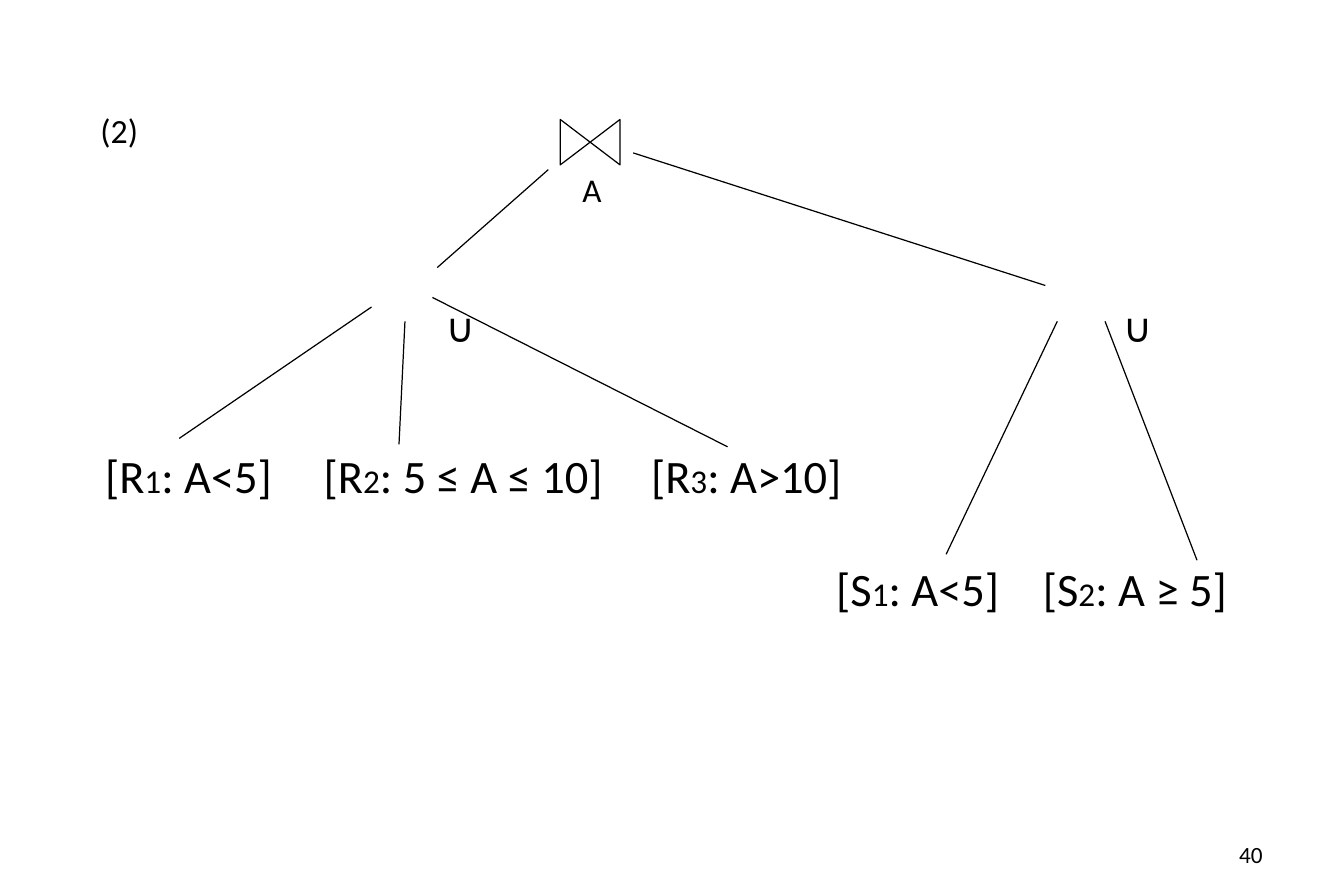
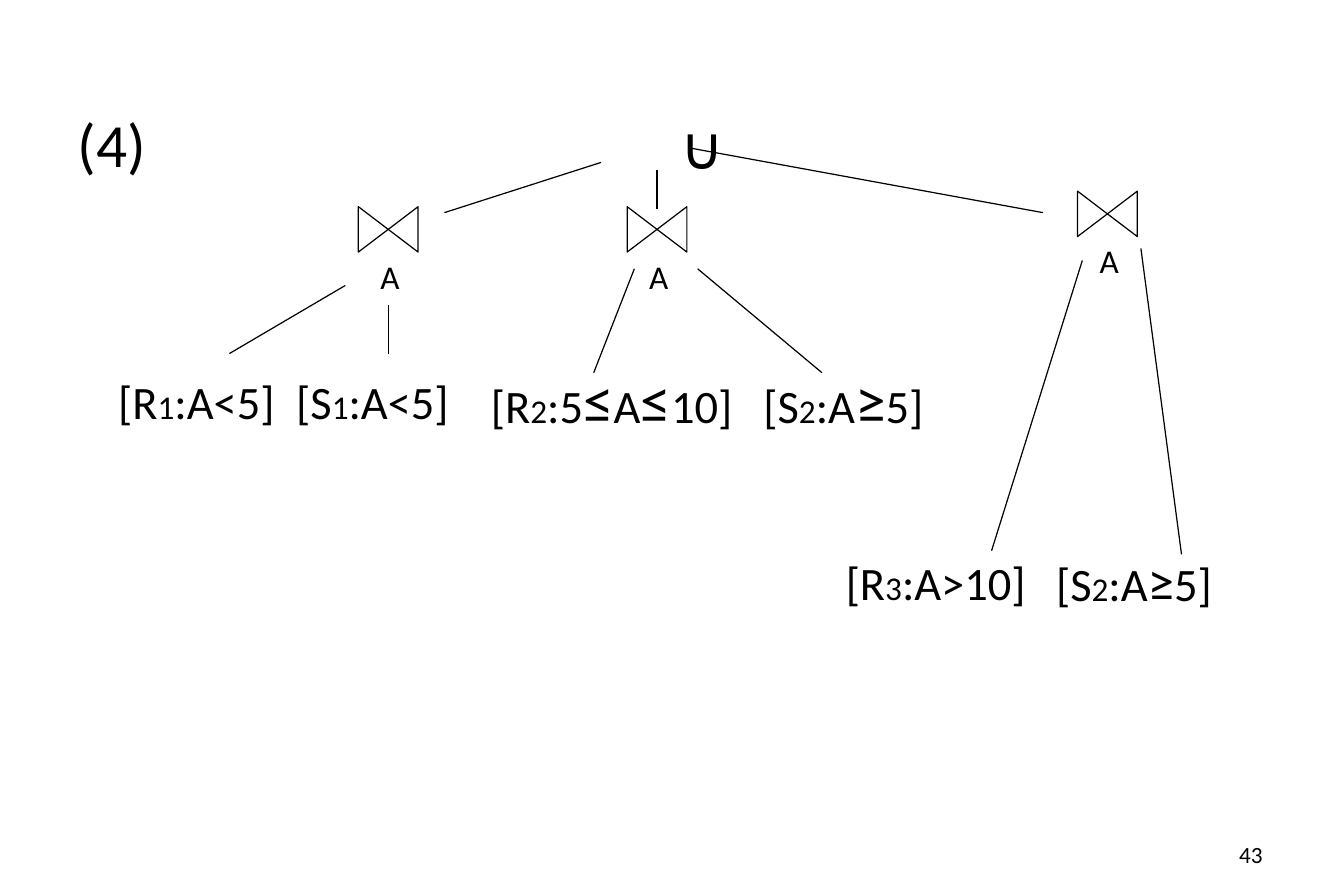
from lxml.etree import SubElement
from pptx import Presentation
from pptx.dml.color import RGBColor
from pptx.enum.shapes import MSO_CONNECTOR as Link, MSO_SHAPE as Form
from pptx.enum.text import MSO_ANCHOR as Anchor, MSO_AUTO_SIZE as Fit, PP_ALIGN as Align
from pptx.oxml.ns import qn
from pptx.util import Inches, Pt

BLACK = RGBColor(0, 0, 0)
WHITE = RGBColor(255, 255, 255)
FONT = "Calibri"
SMALL = 20  # index digits and join labels
LEAF = 28

# Lengths sit on a grid of one-inch columns and rows.
WIDE, HIGH = 11.25, 7.5
JOIN_W, JOIN_H = 0.38, 0.5
NODE_W, NODE_H = 2.4, 0.6

# A node is: left, middle, text, size, size of signs.
# Bars part the text into runs; a lone digit is an index, a lone sign takes its own size.
TREES = [
    dict(
        page="40",
        head="(2)", size=20.4,
        body=(0.72, 0.86, 10.14, 2.57),
        joins=[(4.94, 1.19)],
        edges=[(3.39, 2.69, 3.34, 3.72), (3.11, 2.57, 1.5, 3.67),
               (3.62, 2.49, 6.09, 3.74), (8.85, 2.69, 7.92, 4.64),
               (9.25, 2.69, 10.02, 4.69), (4.59, 1.42, 3.66, 2.24),
               (5.3, 1.28, 8.75, 2.39)],
        nodes=[(3.73, 2.73, "∪", 24.2, LEAF),
               (9.4, 2.73, "∪", 24.2, LEAF),
               (0.88, 3.98, "[R|1|: A<5]", LEAF, LEAF),
               (2.71, 3.98, "[R|2|: 5 ≤ A ≤ 10]", LEAF, LEAF),
               (5.45, 3.98, "[R|3|: A>10]", LEAF, LEAF),
               (7.0, 4.92, "[S|1|: A<5]", LEAF, LEAF),
               (8.73, 4.92, "[S|2|: A ≥ 5]", LEAF, LEAF)],
    ),
    dict(
        page="43",
        head="(4)", size=37,
        body=(0.53, 0.83, 10.12, 4.5),
        joins=[(3.25, 1.92), (5.5, 1.92), (9.27, 1.79)],
        edges=[(5.03, 1.36, 3.72, 1.78), (5.5, 1.42, 5.5, 1.75),
               (5.78, 1.24, 8.73, 1.78), (2.89, 2.39, 1.92, 2.96),
               (3.25, 2.55, 3.25, 2.96), (5.31, 2.25, 4.97, 3.12),
               (5.84, 2.25, 6.88, 3.12), (9.06, 2.18, 8.3, 4.61),
               (9.55, 2.08, 9.89, 4.64)],
        nodes=[(5.7, 1.22, "∪", 36, LEAF),
               (0.99, 3.36, "[R|1|:A<5]", LEAF, LEAF),
               (2.48, 3.36, "[S|1|:A<5]", LEAF, LEAF),
               (4.11, 3.34, "[R|2|:5|≤|A|≤|10]", LEAF, 37),
               (6.39, 3.34, "[S|2|:A|≥|5]", LEAF, 37),
               (7.08, 4.87, "[R|3|:A>10]", LEAF, LEAF),
               (8.84, 4.86, "[S|2|:A|≥|5]", LEAF, 32)],
    ),
]


def write(par, text, size, sign=LEAF):
    """Fill a paragraph with runs sized by what they hold."""
    for bit in text.split("|"):
        run = par.add_run()
        run.text = bit
        run.font.name = FONT
        run.font.color.rgb = BLACK
        run.font.size = Pt(SMALL if bit in "123" else sign if bit in "≤≥" else size)


def label(slide, x, mid, wide, align=Align.LEFT):
    """Add a text box centred on a height and return its paragraph."""
    box = map(Inches, (x, mid - NODE_H / 2, wide, NODE_H))
    frame = slide.shapes.add_textbox(*box).text_frame
    frame.word_wrap = True
    frame.vertical_anchor = Anchor.MIDDLE
    frame.margin_left = frame.margin_right = 0
    frame.margin_top = frame.margin_bottom = 0
    frame.paragraphs[0].alignment = align
    return frame.paragraphs[0]


deck = Presentation()
deck.slide_width, deck.slide_height = Inches(WIDE), Inches(HIGH)

for tree in TREES:
    slide = deck.slides.add_slide(deck.slide_layouts[1])
    title = slide.shapes.title
    title._element.getparent().remove(title._element)

    body = slide.placeholders[1]
    body.left, body.top, body.width, body.height = map(Inches, tree["body"])
    frame = body.text_frame
    frame.auto_size = Fit.NONE
    frame.vertical_anchor = Anchor.TOP
    frame.margin_left = frame.margin_right = Inches(0.12)
    frame.margin_top = frame.margin_bottom = Inches(0.06)
    par = frame.paragraphs[0]
    write(par, tree["head"], tree["size"])
    par.space_before = Pt(0)
    props = par._p.get_or_add_pPr()
    props.set("marL", "0")
    props.set("indent", "0")
    SubElement(props, qn("a:buNone"))

    for x, y in tree["joins"]:
        join = slide.shapes.add_shape(
            Form.FLOWCHART_COLLATE,
            *map(Inches, (x - JOIN_W / 2, y - JOIN_H / 2, JOIN_W, JOIN_H)))
        join.rotation = 270
        join.shadow.inherit = False
        join.fill.solid()
        join.fill.fore_color.rgb = WHITE
        join.line.color.rgb = BLACK
        join.line.width = Pt(0.75)
        write(label(slide, x - 0.17, y + 0.39, 0.37, Align.CENTER), "A", SMALL)

    for edge in tree["edges"]:
        link = slide.shapes.add_connector(Link.STRAIGHT, *map(Inches, edge))
        link.line.color.rgb = BLACK
        link.line.width = Pt(0.75)
        SubElement(link._element.spPr, qn("a:effectLst"))

    for x, mid, text, size, sign in tree["nodes"]:
        write(label(slide, x, mid, NODE_W), text, size, sign)

    write(label(slide, 8.17, 7.15, 2.4, Align.RIGHT), tree["page"], 14)

deck.save("out.pptx")
